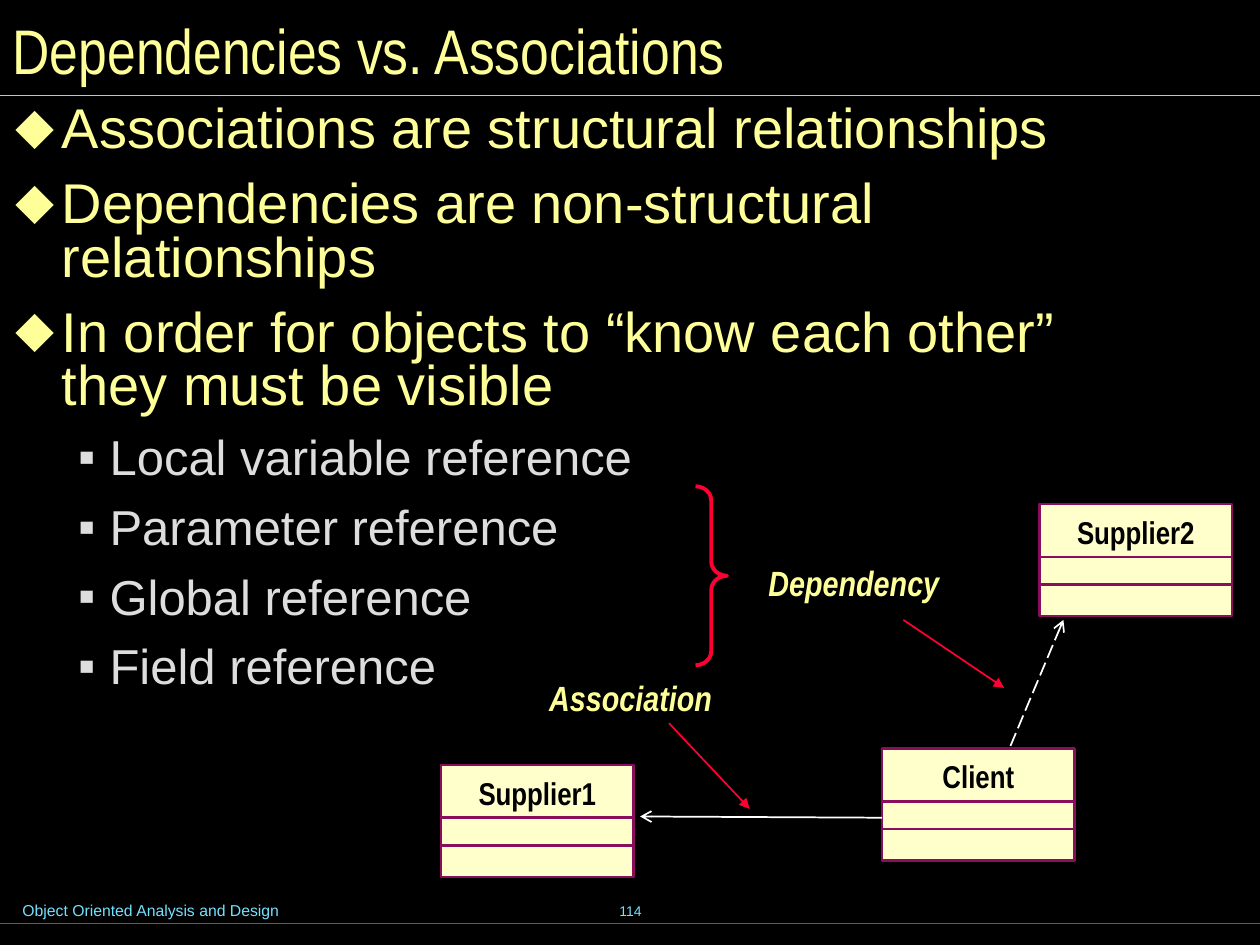
from dataclasses import dataclass

from lxml.etree import SubElement
from pptx import Presentation
from pptx.dml.color import RGBColor
from pptx.enum.dml import MSO_LINE_DASH_STYLE as DASH
from pptx.enum.shapes import MSO_CONNECTOR as CONN, MSO_SHAPE as SHAPE
from pptx.enum.text import MSO_ANCHOR as ANCHOR, MSO_AUTO_SIZE as FIT, PP_ALIGN as ALIGN
from pptx.oxml.ns import qn
from pptx.util import Inches, Pt


@dataclass(frozen=True)
class Theme:
    back: str = "000000"
    yellow: str = "FFFF99"
    gray: str = "DDDDDD"
    cyan: str = "73E1FF"
    teal: str = "007E9F"
    red: str = "FF0033"
    white: str = "FFFFFF"
    box_fill: str = "FFFFCC"
    box_line: str = "8A0E5E"
    box_text: str = "000000"
    sans: str = "Arial"
    narrow: str = "Arial Narrow"
    title: float = 36
    topic: float = 32
    detail: float = 28
    callout: float = 20
    label: float = 18
    footer: float = 9
    number: float = 8


T = Theme()
# size, colour, bullet, indent, hang, line spacing, space before
LEVELS = [
    (T.topic, T.yellow, "⬥", 0.37, 0.37, 0.8, 12),
    (T.detail, T.gray, "▪", 0.75, 0.25, 0.87, 10.5),
]


def rgb(value):
    return RGBColor.from_string(value)


def apply(obj, **values):
    for name, value in values.items():
        setattr(obj, name, value)


def set_font(font, size, color, name, **values):
    apply(font, size=Pt(size), name=name, **values)
    font.color.rgb = rgb(color)


def set_frame(tf, x_inset=0.1, y_inset=0.05, anchor=ANCHOR.TOP):
    apply(tf, word_wrap=True, auto_size=FIT.NONE, vertical_anchor=anchor,
          margin_left=Inches(x_inset), margin_right=Inches(x_inset),
          margin_top=Inches(y_inset), margin_bottom=Inches(y_inset))


def place(sp, box):
    for name, value in zip(("left", "top", "width", "height"), box):
        setattr(sp, name, Inches(value))


def add_text(shapes, box, text, size, color, name, align=ALIGN.LEFT,
             frame=None, **font):
    tf = shapes.add_textbox(*map(Inches, box)).text_frame
    set_frame(tf, **(frame or {}))
    p = tf.paragraphs[0]
    p.alignment = align
    r = p.add_run()
    r.text = text
    set_font(r.font, size, color, name, **font)


def add_line(shapes, start, end, color, width, arrow=None, dash=None):
    line = shapes.add_connector(CONN.STRAIGHT, *map(Inches, (*start, *end)))
    line.line.color.rgb = rgb(color)
    line.line.width = Pt(width)
    if dash:
        line.line.dash_style = dash
    if arrow:
        SubElement(line.line._get_or_add_ln(), qn("a:tailEnd"), type=arrow)
    SubElement(line._element.spPr, qn("a:effectLst"))


def add_title(slide, box, text):
    sp = slide.shapes.title
    place(sp, box)
    sp.text_frame.text = text
    set_frame(sp.text_frame, anchor=ANCHOR.MIDDLE)
    p = sp.text_frame.paragraphs[0]
    p.alignment = ALIGN.LEFT
    set_font(p.runs[0].font, T.title, T.yellow, T.narrow)


def add_list(slide, box, items):
    sp = slide.placeholders[1]
    place(sp, box)
    tf = sp.text_frame
    set_frame(tf, 0.12, 0.06)
    for i, (level, text) in enumerate(items):
        size, color, bullet, indent, hang, spacing, before = LEVELS[level]
        p = tf.paragraphs[0] if i == 0 else tf.add_paragraph()
        pPr = p._p.get_or_add_pPr()
        pPr.set("marL", str(Inches(indent)))
        pPr.set("indent", str(-Inches(hang)))
        SubElement(SubElement(pPr, qn("a:buClr")), qn("a:srgbClr"), val=color)
        SubElement(pPr, qn("a:buChar"), char=bullet)
        apply(p, level=level, line_spacing=spacing,
              space_before=Pt(before if i else 0))
        r = p.add_run()
        r.text = text
        set_font(r.font, size, color, T.sans)


def add_class(slide, box, name):
    """UML class: a named box with two empty compartments."""
    x, y, w, h = box
    shapes = slide.shapes.add_group_shape().shapes
    sp = shapes.add_shape(SHAPE.RECTANGLE, *map(Inches, box))
    sp.shadow.inherit = False
    sp.fill.solid()
    sp.fill.fore_color.rgb = rgb(T.box_fill)
    sp.line.color.rgb = rgb(T.box_line)
    sp.line.width = Pt(1.5)
    for drop in (0.42, 0.64):
        add_line(shapes, (x, y + drop), (x + w, y + drop), T.box_line, 1.5)
    add_text(slide.shapes, (x, y + 0.07, w, 0.3), name, T.label, T.box_text,
             T.narrow, ALIGN.CENTER, dict(x_inset=0, y_inset=0), bold=True)


def add_brace(slide, box):
    sp = slide.shapes.add_shape(SHAPE.RIGHT_BRACE, *map(Inches, box))
    sp.shadow.inherit = False
    sp.adjustments[0] = 0.45
    sp.fill.background()
    sp.line.color.rgb = rgb(T.red)
    sp.line.width = Pt(2.25)


def add_diagram(slide):
    shapes = slide.shapes
    add_brace(slide, (5.52, 3.86, 0.25, 1.42))
    for x, y, name in [(7, 5.94, "Client"), (3.5, 6.07, "Supplier1"),
                       (8.25, 4, "Supplier2")]:
        add_class(slide, (x, y, 1.53, 0.89), name)

    # Callouts, each with a pointer to its relationship
    for box, text, start, end in [
        ((4.26, 5.32, 3.42, 0.44), "Association", (5.31, 5.74), (5.95, 6.42)),
        ((6, 4.41, 2.75, 0.44), "Dependency", (7.17, 4.92), (7.97, 5.46)),
    ]:
        add_text(shapes, box, text, T.callout, T.yellow, T.narrow,
                 bold=True, italic=True)
        add_line(shapes, start, end, T.red, 1, "triangle")

    # Relationships from the client
    add_line(shapes, (8.02, 5.92), (8.44, 4.92), T.white, 1, "arrow", DASH.LONG_DASH)
    add_line(shapes, (7, 6.49), (5.08, 6.48), T.white, 1, "arrow")


def add_footer(slide):
    shapes = slide.shapes
    add_text(shapes, (0.08, 7.1, 5.1, 0.25), "Object Oriented Analysis and Design",
             T.footer, T.cyan, T.sans)
    add_text(shapes, (3.42, 6.98, 3.17, 0.5), "114", T.number, T.cyan, T.sans,
             ALIGN.CENTER, dict(anchor=ANCHOR.MIDDLE))
    add_line(shapes, (0, 7.33), (10, 7.33), T.teal, 0.75)


def main():
    prs = Presentation()
    prs.slide_width, prs.slide_height = Inches(10), Inches(7.5)
    slide = prs.slides.add_slide(prs.slide_layouts[1])
    slide.background.fill.solid()
    slide.background.fill.fore_color.rgb = rgb(T.back)

    add_title(slide, (0, 0, 9.93, 0.78), "Dependencies vs. Associations")
    add_line(slide.shapes, (0, 0.76), (10, 0.76), T.cyan, 0.75)
    add_list(slide, (0, 0.78, 9.28, 5.52), [
        (0, "Associations are structural relationships"),
        (0, "Dependencies are non-structural relationships"),
        (0, "In order for objects to “know each other” they must be visible"),
        (1, "Local variable reference"),
        (1, "Parameter reference"),
        (1, "Global reference"),
        (1, "Field reference"),
    ])
    add_diagram(slide)
    add_footer(slide)
    prs.save("out.pptx")


if __name__ == "__main__":
    main()
